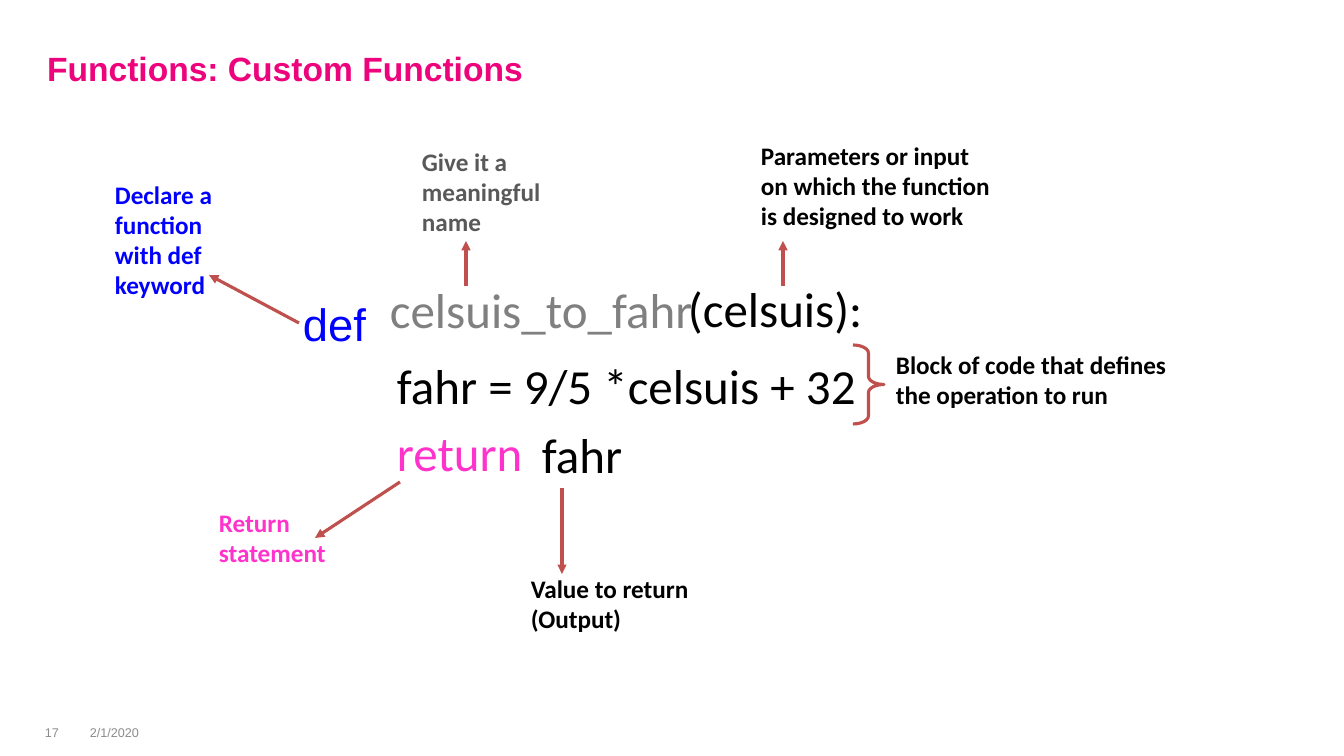
import dataclasses

import pptx
import pptx.dml.color
import pptx.enum.shapes
import pptx.enum.text
import pptx.oxml
import pptx.oxml.ns
import pptx.shapes.autoshape
import pptx.slide
import pptx.util

RGB = pptx.dml.color.RGBColor
ANCHOR = pptx.enum.text.MSO_ANCHOR
ALIGN = pptx.enum.text.PP_ALIGN

MAGENTA = RGB(0xED, 0x03, 0x7C)
BLUE = RGB(0x00, 0x00, 0xFF)
PINK = RGB(0xFF, 0x33, 0xCC)
BLACK = RGB(0x00, 0x00, 0x00)
DARK_GRAY = RGB(0x59, 0x59, 0x59)
GRAY = RGB(0x80, 0x80, 0x80)
FOOTER_GRAY = RGB(0x8C, 0x8C, 0x8C)
RED = RGB(0xC0, 0x50, 0x4D)

EMU_PER_PIXEL = 914400 / 100.8
LINE_WIDTH = pptx.util.Pt(2.25)


@dataclasses.dataclass(frozen=True)
class Label:
    """A piece of text, its box in pixels and its format."""
    text: str
    left: int
    top: int
    width: int
    height: int
    color: RGB
    size: float
    font: str = "Calibri"
    bold: bool = False
    anchor: ANCHOR = ANCHOR.TOP
    align: ALIGN = ALIGN.LEFT


@dataclasses.dataclass(frozen=True)
class Arrow:
    """An arrow from its start to its head, in pixels."""
    x1: int
    y1: int
    x2: int
    y2: int


def px(pixels: int) -> pptx.util.Emu:
    """Turn pixels into EMU."""
    return pptx.util.Emu(round(pixels * EMU_PER_PIXEL))


def write(shape: pptx.shapes.autoshape.Shape, text: str, *, color: RGB, size: float,
          font: str, bold: bool, anchor: ANCHOR, align: ALIGN) -> None:
    """Put formatted text into a shape."""
    frame = shape.text_frame
    frame.word_wrap = True
    frame.auto_size = pptx.enum.text.MSO_AUTO_SIZE.NONE
    frame.vertical_anchor = anchor
    paragraph = frame.paragraphs[0]
    paragraph.alignment = align
    run = paragraph.add_run()
    run.text = text
    run.font.name = font
    run.font.size = pptx.util.Pt(size)
    run.font.bold = bold
    run.font.color.rgb = color


def place_label(shape: pptx.shapes.autoshape.Shape, label: Label) -> None:
    """Move a text shape to the label's box and fill it."""
    shape.left, shape.top = px(label.left), px(label.top)
    shape.width, shape.height = px(label.width), px(label.height)
    write(shape, label.text, color=label.color, size=label.size, font=label.font,
          bold=label.bold, anchor=label.anchor, align=label.align)


def draw_label(slide: pptx.slide.Slide, label: Label) -> None:
    """Add a text box for a label."""
    place_label(slide.shapes.add_textbox(0, 0, 0, 0), label)


def draw_arrow(slide: pptx.slide.Slide, arrow: Arrow) -> None:
    """Add a straight red arrow."""
    connector = slide.shapes.add_connector(
        pptx.enum.shapes.MSO_CONNECTOR.STRAIGHT,
        px(arrow.x1), px(arrow.y1), px(arrow.x2), px(arrow.y2))
    connector.line.color.rgb = RED
    connector.line.width = LINE_WIDTH
    head = pptx.oxml.parse_xml(
        f'<a:tailEnd {pptx.oxml.ns.nsdecls("a")} type="triangle"/>')
    connector.line._get_or_add_ln().append(head)
    connector._element.spPr.append(
        pptx.oxml.parse_xml(f'<a:effectLst {pptx.oxml.ns.nsdecls("a")}/>'))


def draw_brace(slide: pptx.slide.Slide, left: int, top: int, width: int, height: int) -> None:
    """Add the brace that marks the function body."""
    brace = slide.shapes.add_shape(pptx.enum.shapes.MSO_SHAPE.RIGHT_BRACE,
                                   px(left), px(top), px(width), px(height))
    brace.adjustments[0] = 0.26
    brace.adjustments[1] = 0.5
    brace.shadow.inherit = False
    brace.fill.background()
    brace.line.color.rgb = RED
    brace.line.width = LINE_WIDTH


def note(text: str, left: int, top: int, width: int, height: int, color: RGB) -> Label:
    """Describe a bold explanation."""
    return Label(text, left, top, width, height, color, 18, bold=True)


def code(text: str, left: int, top: int, width: int, color: RGB) -> Label:
    """Describe a large piece of code."""
    return Label(text, left, top, width, 70, color, 35)


TITLE = Label("Functions: Custom Functions", 37, 30, 1058, 63, MAGENTA, 24,
              "Arial", True, ANCHOR.BOTTOM)
FOOTERS = [
    Label("2/1/2020", 80, 720, 101, 24, FOOTER_GRAY, 9, "Arial", anchor=ANCHOR.MIDDLE),
    Label("17", 26, 720, 52, 24, FOOTER_GRAY, 9, "Arial", anchor=ANCHOR.MIDDLE,
          align=ALIGN.CENTER),
]
NOTES = [
    note("Declare a function with def keyword", 105, 174, 150, 132, BLUE),
    note("Give it a meaningful name", 412, 141, 150, 102, DARK_GRAY),
    note("Parameters or input on which the function is designed to work",
         751, 135, 258, 105, BLACK),
    note("Block of code that defines the operation to run", 886, 344, 296, 72, BLACK),
    note("Return statement", 209, 502, 150, 72, PINK),
    note("Value to return (Output)", 521, 568, 199, 72, BLACK),
]
CODE = [
    Label("def", 293, 291, 108, 60, BLUE, 32.4, "Arial"),
    code("celsuis_to_fahr", 380, 275, 324, GRAY),
    code("(celsuis):", 678, 274, 206, BLACK),
    code("fahr = 9/5 *celsuis + 32", 387, 351, 622, BLACK),
    code("return", 387, 418, 146, PINK),
    code("fahr", 532, 420, 155, BLACK),
]
ARROWS = [
    Arrow(299, 323, 209, 275),
    Arrow(562, 488, 562, 574),
    Arrow(400, 482, 315, 538),
    Arrow(466, 286, 466, 241),
    Arrow(783, 286, 783, 241),
]


def main() -> None:
    """Build and save the slide."""
    deck = pptx.Presentation()
    deck.slide_width, deck.slide_height = px(1344), px(756)
    slide = deck.slides.add_slide(deck.slide_layouts.get_by_name("Title Only"))
    place_label(slide.shapes.title, TITLE)
    for label in FOOTERS + NOTES:
        draw_label(slide, label)
    for arrow in ARROWS:
        draw_arrow(slide, arrow)
    draw_brace(slide, 853, 345, 31, 79)
    for label in CODE:
        draw_label(slide, label)
    deck.save("out.pptx")


main()
